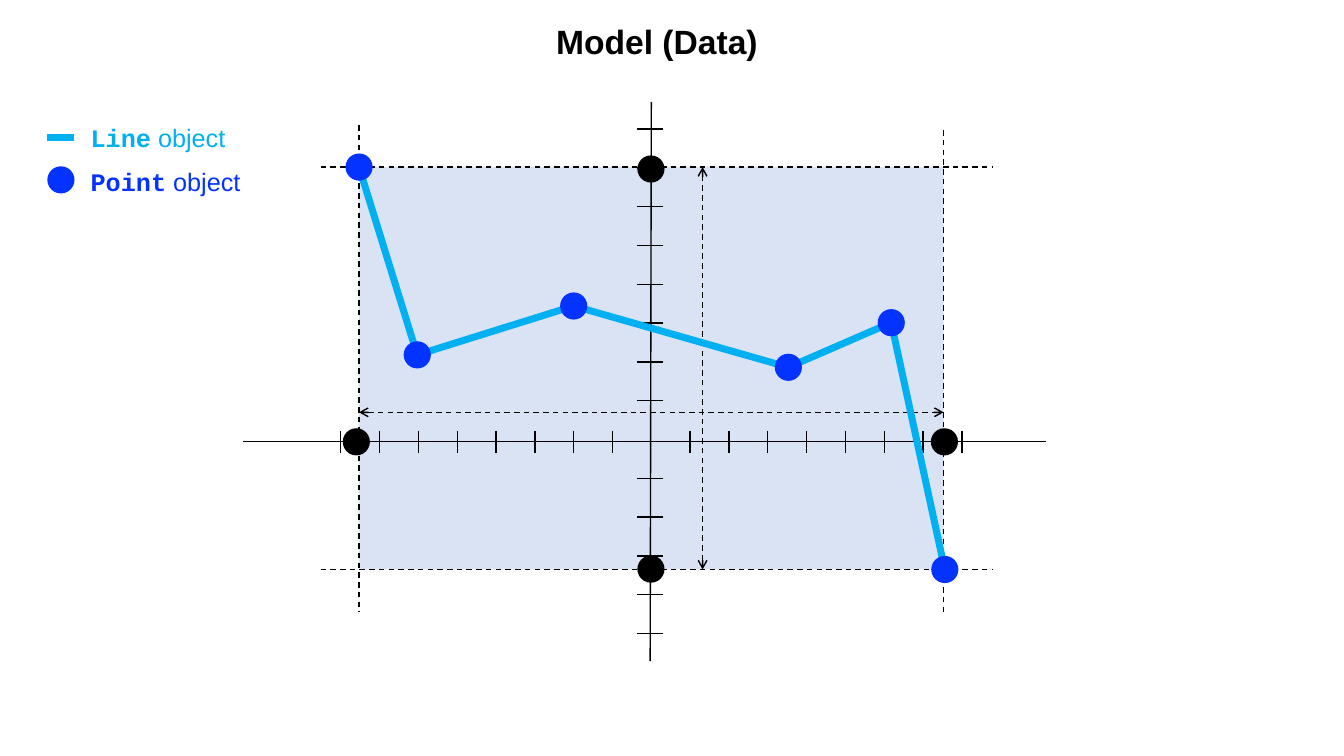
"""Build the Model (Data) slide: a line plot on axes with its bounding box."""
from itertools import pairwise

from lxml import etree
from pptx import Presentation
from pptx.dml.color import RGBColor
from pptx.enum.dml import MSO_LINE
from pptx.enum.shapes import MSO_CONNECTOR, MSO_SHAPE
from pptx.enum.text import PP_ALIGN
from pptx.oxml.ns import qn
from pptx.util import Inches, Pt

STRAIGHT = MSO_CONNECTOR.STRAIGHT
RECTANGLE = MSO_SHAPE.RECTANGLE
OVAL = MSO_SHAPE.OVAL
DASH = MSO_LINE.DASH
LEFT, CENTER = PP_ALIGN.LEFT, PP_ALIGN.CENTER
BLACK, CYAN, BLUE, PALE = "000000", "00B0F0", "0432FF", "DAE3F3"

STEP = 0.385
ORIGIN_X, ORIGIN_Y = 6.46, 4.36
BOX_LEFT, BOX_RIGHT, BOX_TOP, BOX_BOTTOM = -7.53, 7.53, -7.02, 3.35
DOT = 0.7

presentation = Presentation()
presentation.slide_width = Inches(13.33)
presentation.slide_height = Inches(7.5)
slide = presentation.slides.add_slide(presentation.slide_layouts[6])
shapes = slide.shapes


def place(column, row):
    """Turn a grid position, counted in ticks from the origin, into lengths."""
    return Inches(ORIGIN_X + column * STEP), Inches(ORIGIN_Y + row * STEP)


def add_line(start, end, color=BLACK, width=1, dashed=False, arrows=False):
    """Draw a straight line between two grid positions."""
    connector = shapes.add_connector(STRAIGHT, *place(*start), *place(*end))
    connector.line.color.rgb = RGBColor.from_string(color)
    connector.line.width = Pt(width)
    if dashed:
        connector.line.dash_style = DASH
    if arrows:
        outline = connector.line._get_or_add_ln()
        for tag in ("a:headEnd", "a:tailEnd"):
            etree.SubElement(outline, qn(tag), type="arrow")
    etree.SubElement(connector._element.spPr, qn("a:effectLst"))


box = shapes.add_shape(
    RECTANGLE, *place(BOX_LEFT, BOX_TOP),
    Inches((BOX_RIGHT - BOX_LEFT) * STEP), Inches((BOX_BOTTOM - BOX_TOP) * STEP))
box.shadow.inherit = False
box.fill.solid()
box.fill.fore_color.rgb = RGBColor.from_string(PALE)
box.line.fill.background()

add_line((-10.52, 0.05), (10.18, 0.05))
add_line((0, -8.7), (-0.03, 5.71))
for tick in range(-8, 9):
    if tick != 0:
        add_line((tick, -0.23), (tick, 0.36))
    if tick != 0 and tick <= 5:
        add_line((0.31, tick), (-0.36, tick))

add_line((-15.56, -7.77), (-14.86, -7.77), CYAN, 5)

labels = [
    (-14.7, -8.29, 5.45, 1.04, LEFT, 18, CYAN,
     [("Line", "Courier New", True), (" object", "Arial", False)]),
    (-14.7, -7.17, 5.6, 1.04, LEFT, 18, BLUE,
     [("Point", "Courier New", True), (" object", "Arial", False)]),
    (-4.75, -10.91, 9.79, 1.3, CENTER, 24, BLACK,
     [("Model (Data)", "Arial", True)]),
]
for column, row, columns, rows, alignment, size, color, runs in labels:
    label = shapes.add_textbox(
        *place(column, row), Inches(columns * STEP), Inches(rows * STEP))
    label.text_frame.word_wrap = True
    paragraph = label.text_frame.paragraphs[0]
    paragraph.alignment = alignment
    for text, font_name, bold in runs:
        run = paragraph.add_run()
        run.text = text
        run.font.name = font_name
        run.font.size = Pt(size)
        run.font.bold = bold
        run.font.color.rgb = RGBColor.from_string(color)

add_line((BOX_LEFT, -0.7), (BOX_RIGHT, -0.7), dashed=True, arrows=True)
add_line((1.32, BOX_BOTTOM), (1.32, BOX_TOP), dashed=True, arrows=True)
for column, top in ((BOX_LEFT, -8.1), (BOX_RIGHT, -7.97)):
    add_line((column, top), (column, 4.44), dashed=True)
for row in (BOX_TOP, BOX_BOTTOM):
    add_line((-8.52, row), (8.78, row), dashed=True)

data_points = [(-7.53, -7.02), (-6.03, -2.18), (-2, -3.44),
               (3.53, -1.86), (6.18, -3.01), (7.56, 3.35)]
for start, end in pairwise(data_points):
    add_line(start, end, CYAN, 5)

legend_point = (-15.21, -6.69)
axis_limits = [(7.55, 0.06), (-0.01, -6.97), (-7.6, 0.06), (-0.01, 3.34)]
for color, centers in ((BLUE, [legend_point, *data_points]), (BLACK, axis_limits)):
    for column, row in centers:
        dot = shapes.add_shape(
            OVAL, *place(column - DOT / 2, row - DOT / 2),
            Inches(DOT * STEP), Inches(DOT * STEP))
        dot.shadow.inherit = False
        dot.fill.solid()
        dot.fill.fore_color.rgb = RGBColor.from_string(color)
        dot.line.fill.background()

presentation.save("out.pptx")
